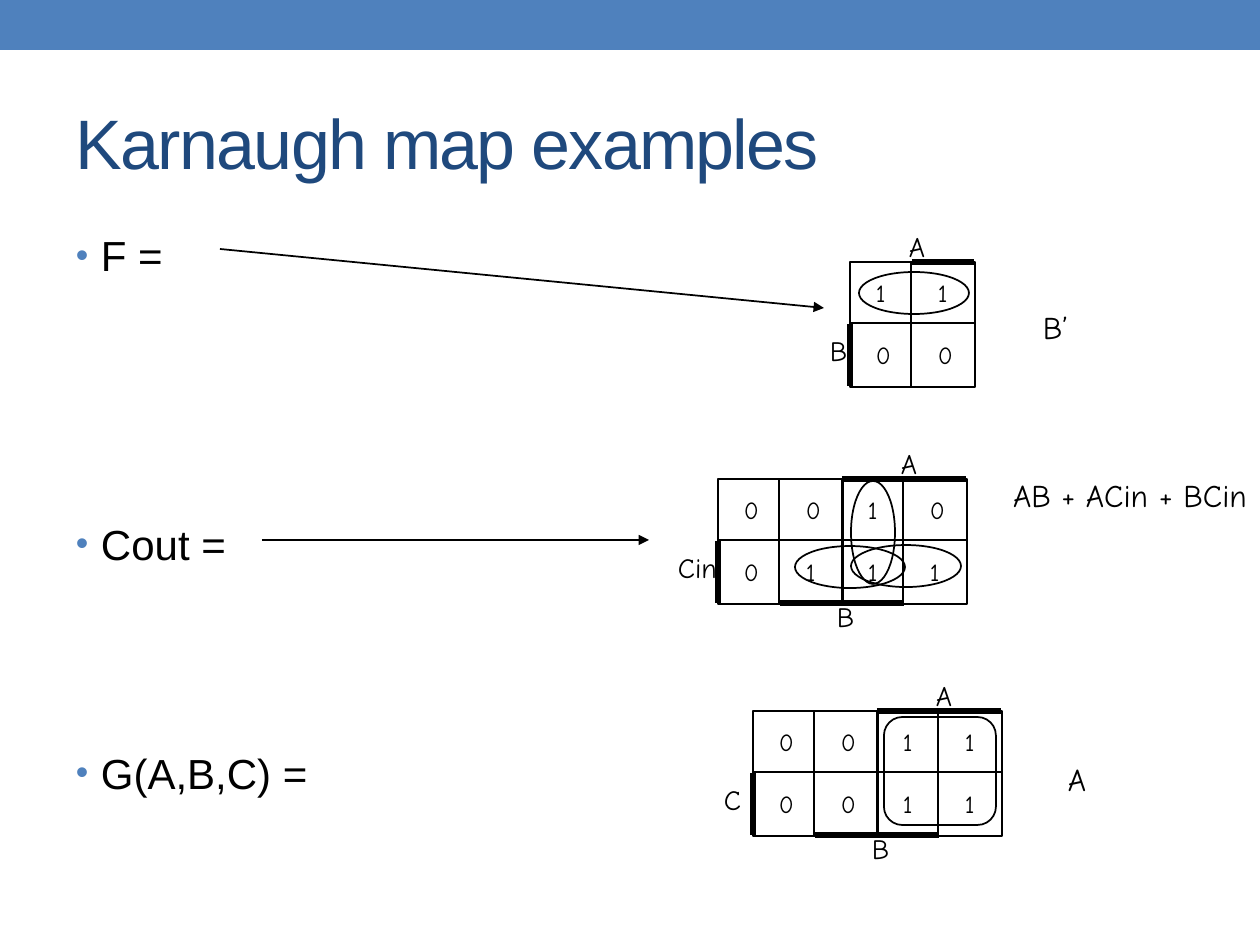
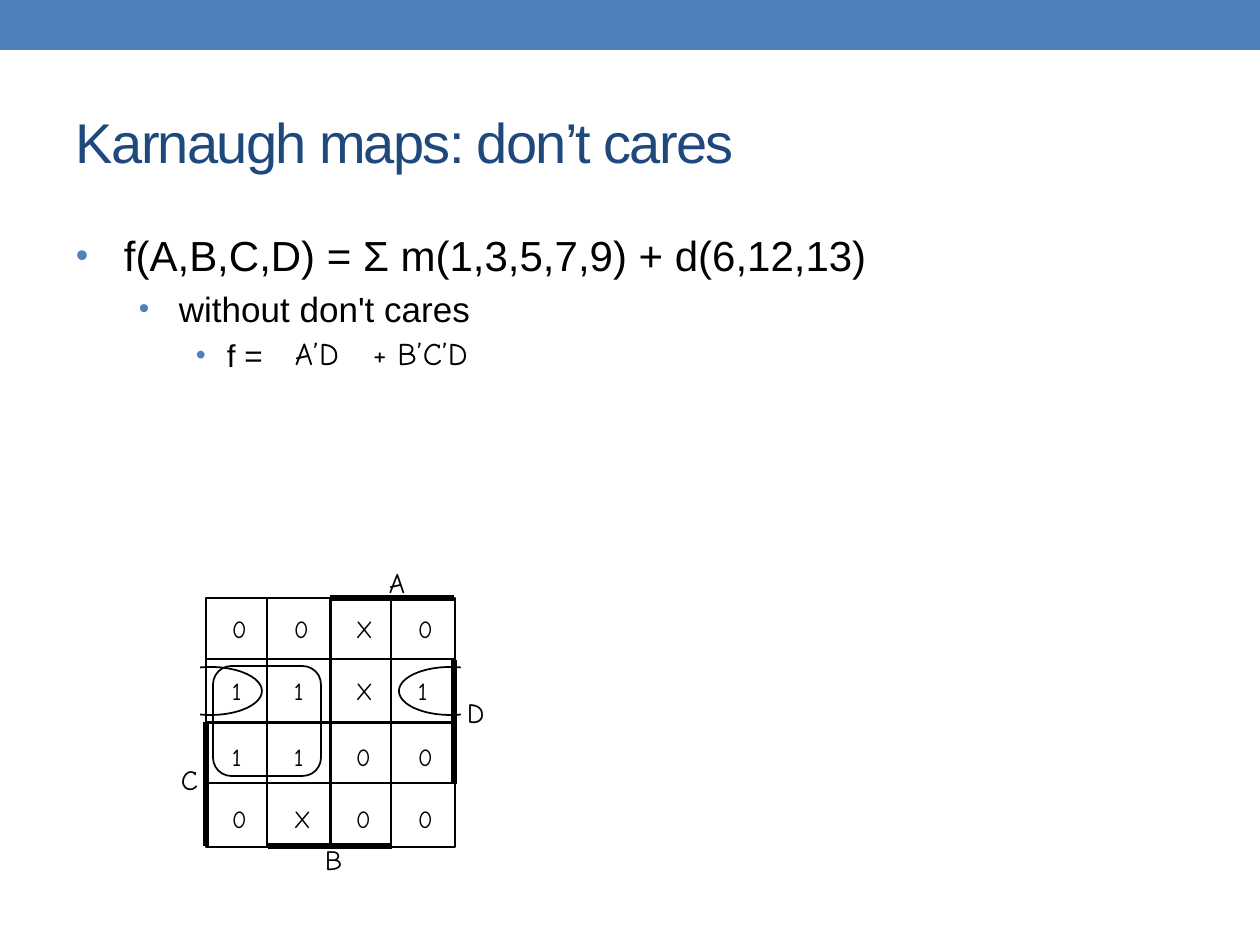
import lxml.etree
import pptx
import pptx.dml.color
import pptx.enum.shapes
import pptx.enum.text
import pptx.oxml.ns
import pptx.util

SCALE = 914400 / 126
BLUE, NAVY, BLACK, WHITE = "4F81BD", "1F497D", "000000", "FFFFFF"
SANS, HAND = "Arial", "Comic Neue"
CELL, HALF, BLOCK = 62, 61, 125
FORM = pptx.enum.shapes.MSO_SHAPE
Pt = pptx.util.Pt


def px(size):
    """Turn px into EMU."""
    return pptx.util.Emu(round(size * SCALE))


def tint(text):
    """Turn a hex string into a colour."""
    return pptx.dml.color.RGBColor.from_string(text)


def node(owner, tag, **attrs):
    """Append a drawing element with its attributes."""
    item = lxml.etree.SubElement(owner, pptx.oxml.ns.qn("a:" + tag))
    for key, value in attrs.items():
        item.set(key, str(value))
    return item


def shape(slide, form, x, y, w, h, fill=None, line=None):
    """Draw a preset shape with a plain fill or outline."""
    item = slide.shapes.add_shape(form, px(x), px(y), px(w), px(h))
    item.shadow.inherit = False
    if fill:
        item.fill.solid()
        item.fill.fore_color.rgb = tint(fill)
    else:
        item.fill.background()
    if line:
        item.line.color.rgb = tint(line)
        item.line.width = Pt(1)
    else:
        item.line.fill.background()
    return item


def line(slide, x, y, end, foot, width=1, arrow=False):
    """Draw a straight black line, with an arrowhead if asked."""
    kind = pptx.enum.shapes.MSO_CONNECTOR.STRAIGHT
    item = slide.shapes.add_connector(kind, px(x), px(y), px(end), px(foot))
    item.line.color.rgb = tint(BLACK)
    item.line.width = Pt(width)
    if arrow:
        node(item.line._get_or_add_ln(), "tailEnd", type="triangle")
    node(item._element.spPr, "effectLst")


def text(slide, x, y, w, h, words, size, font=HAND, color=BLACK,
         pad=(13, 6), wrap=True):
    """Add a text box with one paragraph for each string."""
    box = slide.shapes.add_textbox(px(x), px(y), px(w), px(h))
    frame = box.text_frame
    frame.word_wrap = wrap
    frame.auto_size = pptx.enum.text.MSO_AUTO_SIZE.NONE
    frame.margin_left = frame.margin_right = px(pad[0])
    frame.margin_top = frame.margin_bottom = px(pad[1])
    frame.text = "\n".join(words)
    for para in frame.paragraphs:
        for run in para.runs:
            run.font.size = Pt(size)
            run.font.name = font
            run.font.color.rgb = tint(color)
    return frame


def page(deck, title, size):
    """Add a slide with the top band and a title."""
    slide = deck.slides.add_slide(deck.slide_layouts[6])
    shape(slide, FORM.RECTANGLE, 0, 0, 1260, 50, fill=BLUE)
    frame = text(slide, 63, 73, 1134, 136, [title], size, SANS, NAVY)
    frame.vertical_anchor = pptx.enum.text.MSO_ANCHOR.MIDDLE
    frame.paragraphs[0].runs[0].font._element.set("spc", "-100")
    return slide


def points(slide, x, y, w, h, items):
    """List bullets given as words, size, indent, hang, gap and bullet size."""
    frame = text(slide, x, y, w, h, [item[0] for item in items], 24, SANS, pad=(13, 9))
    for level, (para, item) in enumerate(zip(frame.paragraphs, items)):
        words, size, indent, hang, gap, scale = item
        para.runs[0].font.size = Pt(size)
        para.space_before = Pt(gap)
        props = para._p.get_or_add_pPr()
        props.set("marL", str(px(indent)))
        props.set("indent", str(-px(hang)))
        node(node(props, "buClr"), "srgbClr", val=BLUE)
        node(props, "buSzPct", val=scale * 1000)
        node(props, "buFont", typeface=SANS)
        node(props, "buChar", char="•")


def block(slide, x, y, rows, drop):
    """Draw a two by two block of cells and its values."""
    frame = text(slide, x + 23, y + drop, 112, 111,
                 ["\t".join(row) for row in rows], 14, pad=(3, 4))
    for index, para in enumerate(frame.paragraphs):
        para.line_spacing = Pt(17.8)
        para.space_before = Pt(17.8 * index)
        tabs = node(para._p.get_or_add_pPr(), "tabLst")
        node(tabs, "tab", pos=px(CELL), algn="l")
    shape(slide, FORM.RECTANGLE, x, y, BLOCK, BLOCK, line=BLACK)
    line(slide, x + HALF, y, x + HALF, y + BLOCK)
    line(slide, x, y + HALF, x + BLOCK, y + HALF)


def bar(slide, x, y, w, h, side, start, stop, name, shift=0):
    """Mark the cells of one variable on an edge of the map."""
    low, high = start * CELL, stop * CELL
    mid = (low + high) // 2
    ends, spot = {
        "top": ((low, 0, high, 0), (mid - 6 + shift, -31)),
        "base": ((low, h, high, h), (mid - 8 + shift, h - 2)),
        "left": ((0, low, 0, high), (shift, mid - 20)),
        "right": ((w, low, w, high), (w + 10, mid - 20 + shift)),
    }[side]
    line(slide, x + ends[0], y + ends[1], x + ends[2], y + ends[3], 3)
    frame = text(slide, x + spot[0], y + spot[1], 79, 45, [name], 16, pad=(3, 4))
    frame.paragraphs[0].line_spacing = Pt(15.8)


def grid(slide, x, y, rows, bars):
    """Draw a Karnaugh map of blocks with its marked edges."""
    for top in range(0, len(rows), 2):
        for left in range(0, len(rows[0]), 2):
            part = [row[left:left + 2] for row in rows[top:top + 2]]
            block(slide, x + left * CELL, y + top * CELL, part, 10 + 2 * top)
    for mark in bars:
        bar(slide, x, y, len(rows[0]) * CELL, len(rows) * CELL, *mark)


def terms(slide, items):
    """Write the terms of the answers by hand."""
    for x, y, w, words in items:
        text(slide, x, y, w, 50, [words], 18, wrap=False)


def loop(slide, form, x, y, w, h):
    """Circle a group of cells."""
    item = shape(slide, form, x, y, w, h, line=BLACK)
    if form == FORM.ROUNDED_RECTANGLE:
        item.adjustments[0] = 0.17


def samples(deck):
    """Build the slide of three example maps."""
    slide = page(deck, "Karnaugh map examples", 40)
    points(slide, 63, 221, 1134, 672, [
        ("F =", 24, 25, 25, 0, 85),
        ("Cout =", 24, 25, 25, 136, 85),
        ("G(A,B,C) =", 24, 25, 25, 102, 85),
    ])
    line(slide, 220, 249, 824, 308, arrow=True)
    line(slide, 262, 540, 649, 540, arrow=True)
    grid(slide, 850, 262, ["11", "00"],
         [("top", 1, 2, "A", -31), ("left", 1, 2, "B", -23)])
    for x, y, name, shift, rows in (
            (718, 479, "Cin", -43, ["0010", "0111"]),
            (753, 711, "C", -32, ["0011", "0011"])):
        grid(slide, x, y, rows, [("top", 2, 4, "A"), ("base", 1, 3, "B"),
                                 ("left", 1, 2, name, shift)])
    for spot in ((859, 272, 110, 42), (851, 481, 44, 103),
                 (851, 545, 110, 42), (795, 546, 110, 42)):
        loop(slide, FORM.OVAL, *spot)
    loop(slide, FORM.ROUNDED_RECTANGLE, 884, 717, 112, 108)
    terms(slide, [(1030, 302, 50, "B’"), (1000, 470, 68, "AB"),
                  (1038, 470, 126, " + ACin"), (1146, 470, 113, "+ BCin"),
                  (1055, 754, 50, "A")])


def cares(deck):
    """Build the slide on don't cares."""
    slide = page(deck, "Karnaugh maps: don’t cares", 32)
    points(slide, 63, 221, 1134, 672, [
        ("f(A,B,C,D) = Σ m(1,3,5,7,9) + d(6,12,13)", 24, 48, 48, 0, 85),
        ("without don't cares", 20, 103, 40, 4, 85),
        ("f =", 18, 151, 31, 3.6, 90),
    ])
    for x, mask in ((399, 461), (159, 137)):
        loop(slide, FORM.OVAL, x, 667, 103, 48)
        shape(slide, FORM.RECTANGLE, mask, 662, 63, 57, fill=WHITE)
    grid(slide, 206, 598, ["00X0", "11X1", "1100", "0X00"], [
        ("top", 2, 4, "A"), ("right", 1, 3, "D", -5),
        ("base", 1, 3, "B"), ("left", 2, 4, "C", -28)])
    loop(slide, FORM.ROUNDED_RECTANGLE, 213, 666, 108, 110)
    terms(slide, [(282, 328, 77, "A’D"), (360, 328, 122, "+ B’C’D")])


def main():
    """Build and save the deck."""
    deck = pptx.Presentation()
    deck.slide_width, deck.slide_height = px(1260), px(945)
    samples(deck)
    cares(deck)
    deck.save("out.pptx")


if __name__ == "__main__":
    main()
